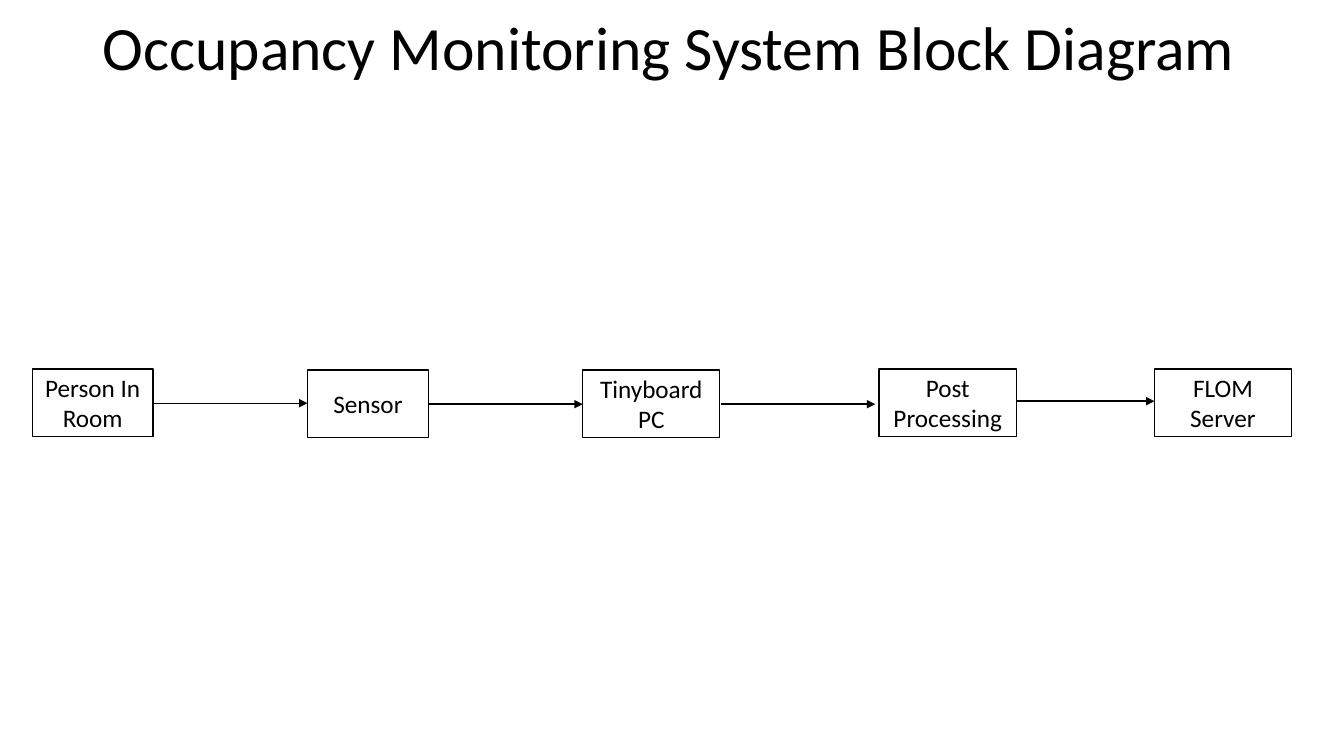
from lxml.etree import SubElement
from pptx import Presentation
from pptx.dml.color import RGBColor
from pptx.enum.shapes import MSO_CONNECTOR, MSO_SHAPE
from pptx.enum.text import MSO_ANCHOR, PP_ALIGN
from pptx.oxml.ns import qn
from pptx.util import Inches, Pt

BLACK = RGBColor(0, 0, 0)
WHITE = RGBColor(255, 255, 255)
FONT = "Calibri"
BLOCKS = [
    ("Person In Room", 0.32, 3.66, 1.2),
    ("Sensor", 3.05, 3.67, 1.2),
    ("Tinyboard PC", 5.78, 3.67, 1.36),
    ("Post Processing", 8.72, 3.66, 1.36),
    ("FLOM Server", 11.45, 3.66, 1.36),
]
ARROWS = [
    (1.52, 3.05, 4),
    (4.25, 5.78, 4.01),
    (7.15, 8.68, 4.01),
    (10.08, 11.45, 3.98),
]


def put_text(shape, text, size=18, align=PP_ALIGN.CENTER, spacing=1.0):
    """Write formatted, vertically centred text into a shape."""
    frame = shape.text_frame
    frame.word_wrap = True
    frame.vertical_anchor = MSO_ANCHOR.MIDDLE
    para = frame.paragraphs[0]
    para.alignment = align
    para.line_spacing = spacing
    run = para.add_run()
    run.text = text
    run.font.name = FONT
    run.font.size = Pt(size)
    run.font.color.rgb = BLACK


def add_title(slide, text):
    """Add the slide heading."""
    box = slide.shapes.add_textbox(Inches(0.92), 0, Inches(11.5), Inches(1))
    put_text(box, text, size=44, align=PP_ALIGN.LEFT, spacing=0.9)


def add_block(slide, text, left, top, width):
    """Add one outlined block of the diagram."""
    block = slide.shapes.add_shape(
        MSO_SHAPE.RECTANGLE, Inches(left), Inches(top), Inches(width), Inches(0.67)
    )
    block.shadow.inherit = False
    block.fill.solid()
    block.fill.fore_color.rgb = WHITE
    block.line.color.rgb = BLACK
    block.line.width = Pt(1)
    put_text(block, text)


def add_arrow(slide, start, end, y):
    """Add a level arrow pointing right."""
    arrow = slide.shapes.add_connector(
        MSO_CONNECTOR.STRAIGHT, Inches(start), Inches(y), Inches(end), Inches(y)
    )
    arrow.line.color.rgb = BLACK
    arrow.line.width = Pt(1)
    props = arrow.element.spPr
    SubElement(props.find(qn("a:ln")), qn("a:tailEnd"), type="triangle")
    SubElement(props, qn("a:effectLst"))


def main():
    """Build and save the block diagram slide."""
    deck = Presentation()
    deck.slide_width = Inches(13.33)
    deck.slide_height = Inches(7.5)
    slide = deck.slides.add_slide(deck.slide_layouts[6])
    add_title(slide, "Occupancy Monitoring System Block Diagram")
    for block in BLOCKS:
        add_block(slide, *block)
    for arrow in ARROWS:
        add_arrow(slide, *arrow)
    deck.save("out.pptx")


main()
